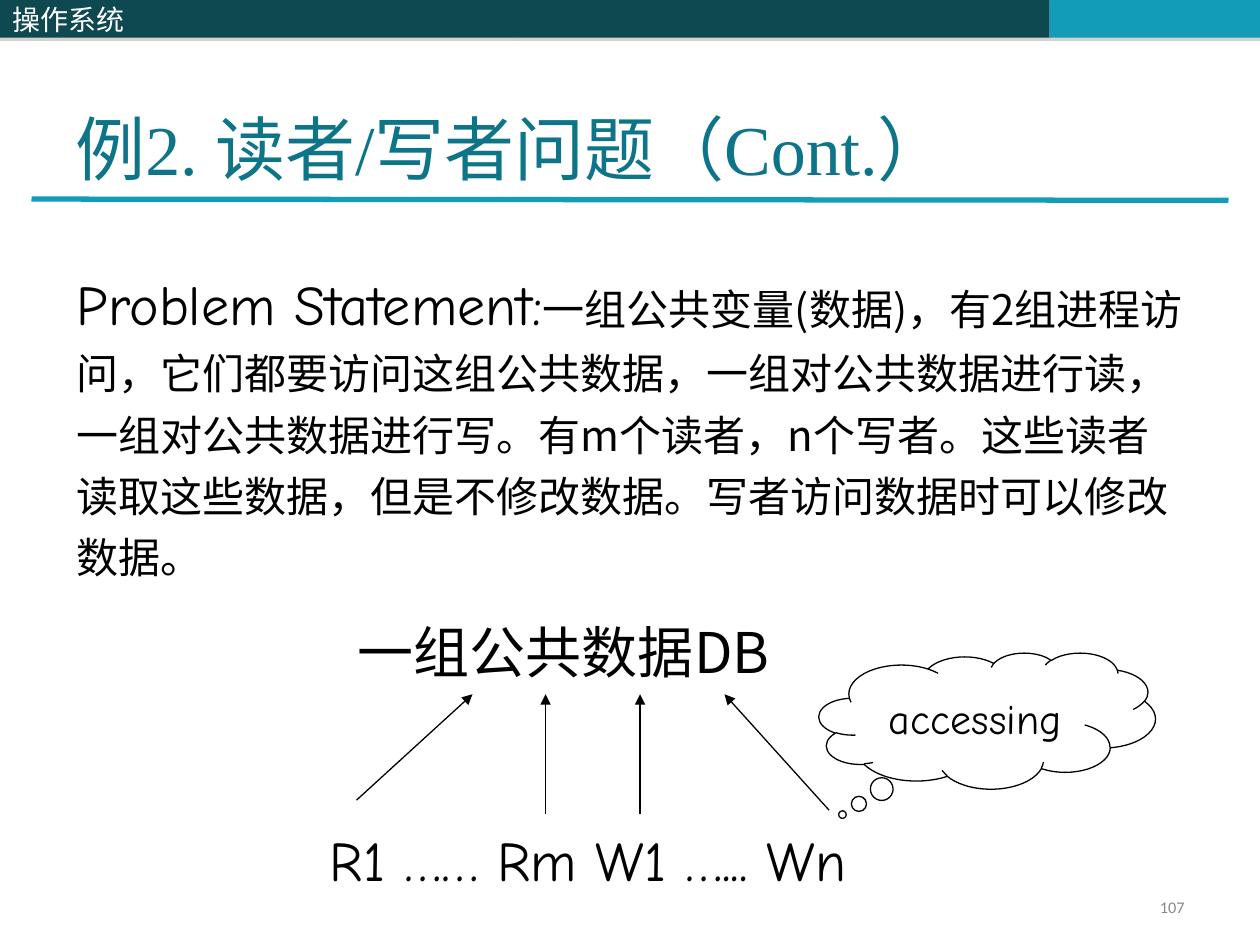
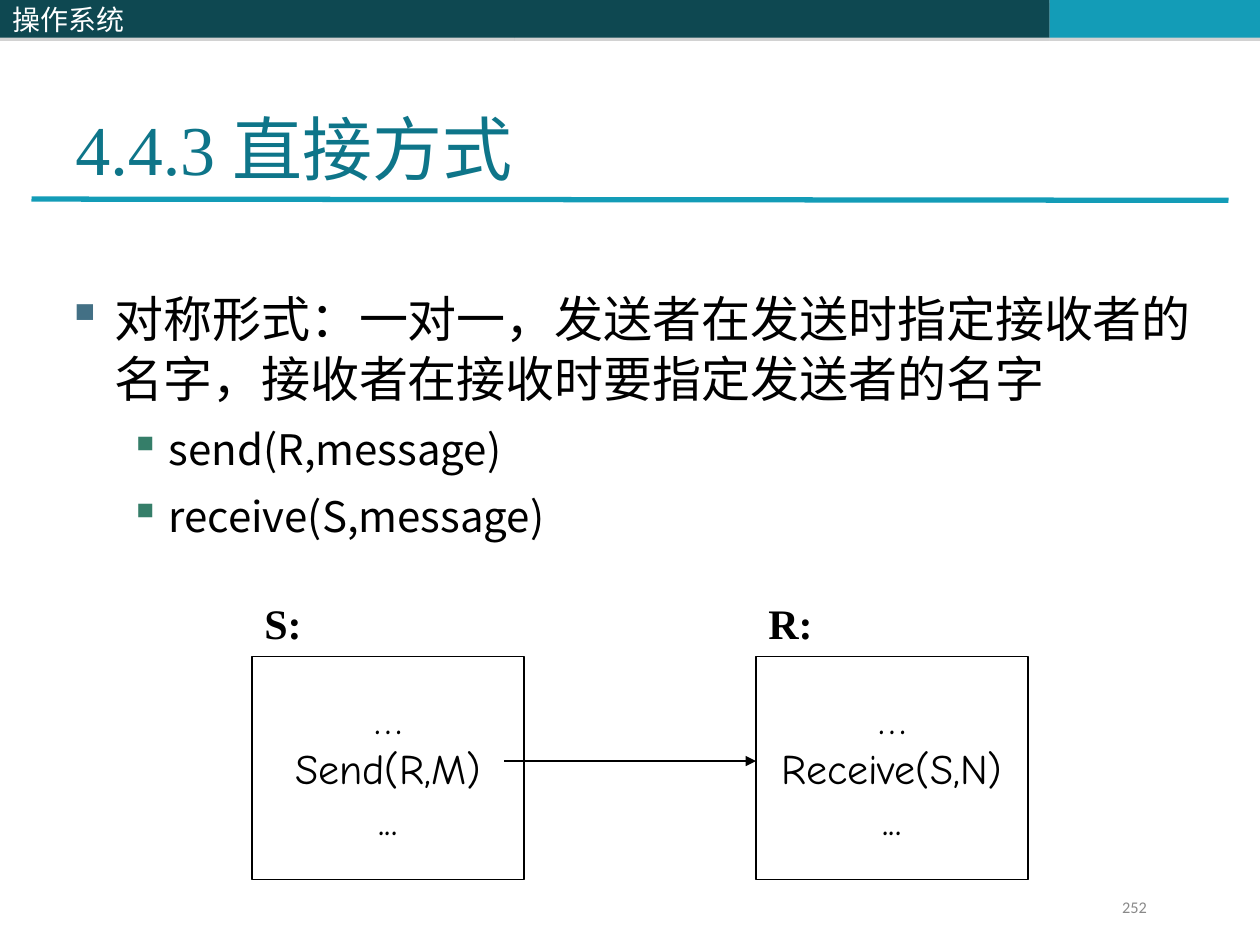
"""Builds two operating-systems slides: readers/writers and direct messaging."""
from lxml import etree
from pptx import Presentation
from pptx.dml.color import RGBColor
from pptx.enum.shapes import MSO_CONNECTOR as Connector, MSO_SHAPE as Shape
from pptx.enum.text import MSO_ANCHOR as Anchor, PP_ALIGN as Align
from pptx.oxml.ns import qn
from pptx.util import Inches, Pt

DARK = RGBColor(0x0E, 0x48, 0x51)
CYAN = RGBColor(0x13, 0x9C, 0xB7)
TEAL = RGBColor(0x0E, 0x75, 0x89)
GREY = RGBColor(0x89, 0x89, 0x89)
BLACK = RGBColor(0, 0, 0)
WHITE = RGBColor(255, 255, 255)
HAN, HAND, SERIF, SANS = "Noto Sans CJK SC", "Comic Neue", "Times New Roman", "Calibri"

WIDTH, HEIGHT = 10, 7.5
COURSE = "操作系统"
BANDS = [(0, 4.08, DARK, COURSE), (4.08, 4.25, DARK, ""), (8.33, 1.67, CYAN, "")]

READERS = {
    "title": "例2. 读者/写者问题（Cont.）",
    "number": ("107", 9.5),
    "lead": "Problem Statement:",
    "statement": "一组公共变量(数据)，有2组进程访问，它们都要访问这组公共数据，一组对公共数据进行读，"
                 "一组对公共数据进行写。有m个读者，n个写者。这些读者读取这些数据，但是不修改数据。"
                 "写者访问数据时可以修改数据。",
    "database": "一组公共数据DB",
    "processes": "R1 …… Rm W1 …... Wn",
    "thought": "accessing",
}
ACCESS_TOP = 5.51
ACCESSES = [((2.83, 6.35), 3.75), ((4.33, 6.46), 4.33), ((5.08, 6.46), 5.08), ((6.58, 6.43), 5.75)]

DIRECT = {
    "title": "4.4.3 直接方式",
    "number": ("252", 9.2),
    "bullets": [
        (0, "对称形式：一对一，发送者在发送时指定接收者的名字，接收者在接收时要指定发送者的名字"),
        (1, "send(R,message)"),
        (1, "receive(S,message)"),
    ],
    "processes": [("S:", ["…", "Send(R,M)", "..."]), ("R:", ["…", "Receive(S,N)", "..."])],
}
BULLET_STYLES = [
    dict(size=28, spacing=34.3, before=0, left=0.38, hang=0.38, color="437085"),
    dict(size=24, spacing=32.3, before=6, left=0.81, hang=0.31, color="357E69"),
]
PROCESS_LEFT, PROCESS_TOP, PROCESS_STEP = 2, 5.21, 4
PROCESS_SIZE = (2.16, 1.77)
MESSAGE_Y = 6.04


def write(paragraph, text, font=HAN, size=24, color=BLACK, bold=False, align=None, spacing=None):
    """Add one formatted run to a paragraph."""
    if align is not None:
        paragraph.alignment = align
    if spacing is not None:
        paragraph.line_spacing = spacing
    run = paragraph.add_run()
    run.text = text
    run.font.name, run.font.size, run.font.bold = font, Pt(size), bold
    run.font.color.rgb = color
    east_asian = etree.SubElement(run._r.get_or_add_rPr(), qn("a:ea"))
    east_asian.set("typeface", HAND if font == HAND else HAN)


def write_lines(shape, lines, anchor=Anchor.MIDDLE, wrap=True, **style):
    """Fill a shape with one paragraph per line."""
    frame = shape.text_frame
    frame.word_wrap, frame.vertical_anchor = wrap, anchor
    for index, line in enumerate(lines):
        write(frame.add_paragraph() if index else frame.paragraphs[0], line, **style)


def add_text(slide, left, top, width, height, lines=(), **style):
    """Add a text box."""
    box = slide.shapes.add_textbox(Inches(left), Inches(top), Inches(width), Inches(height))
    write_lines(box, lines, **style)
    return box


def add_box(slide, kind, left, top, width, height, fill=None, line=None):
    """Add a preset shape without a shadow."""
    shape = slide.shapes.add_shape(kind, Inches(left), Inches(top), Inches(width), Inches(height))
    shape.shadow.inherit = False
    if fill is None:
        shape.fill.background()
    else:
        shape.fill.solid()
        shape.fill.fore_color.rgb = fill
    if line is None:
        shape.line.fill.background()
    else:
        shape.line.color.rgb, shape.line.width = line, Pt(0.75)
    return shape


def add_line(slide, start, end, color=BLACK, width=0.75, arrow=True):
    """Add a straight line, with an arrowhead at its end if wanted."""
    x1, y1, x2, y2 = map(Inches, (*start, *end))
    connector = slide.shapes.add_connector(Connector.STRAIGHT, x1, y1, x2, y2)
    connector.line.color.rgb, connector.line.width = color, Pt(width)
    if arrow:
        etree.SubElement(connector.line._get_or_add_ln(), qn("a:tailEnd")).set("type", "triangle")
    etree.SubElement(connector._element.spPr, qn("a:effectLst"))


def add_band_shadow(shape):
    """Give a band a soft shadow below it."""
    effects = shape._element.spPr.find(qn("a:effectLst"))
    shadow = etree.SubElement(effects, qn("a:outerShdw"), dist=str(Pt(1.8)), dir="5400000", rotWithShape="0")
    color = etree.SubElement(shadow, qn("a:srgbClr"), val="808080")
    etree.SubElement(color, qn("a:alpha"), val="35000")


def add_bullet(paragraph, left, hang, color):
    """Set a square bullet and its hanging indent."""
    properties = paragraph._p.get_or_add_pPr()
    properties.set("marL", str(Inches(left)))
    properties.set("indent", str(-Inches(hang)))
    bullet_color = etree.SubElement(properties, qn("a:buClr"))
    etree.SubElement(bullet_color, qn("a:srgbClr"), val=color)
    etree.SubElement(properties, qn("a:buChar"), char="▪")


def start_slide(presentation, content):
    """Add a slide with the bands, title, rule and number that all slides share."""
    slide = presentation.slides.add_slide(presentation.slide_layouts[6])
    for left, width, color, label in BANDS:
        band = add_box(slide, Shape.RECTANGLE, left, 0, width, 0.3, fill=color)
        add_band_shadow(band)
        if label:
            band.text_frame.margin_top = band.text_frame.margin_bottom = 0
            write_lines(band, [label], size=16, color=WHITE, align=Align.LEFT)
    add_line(slide, (0.25, 1.58), (WIDTH - 0.25, 1.59), CYAN, 3, arrow=False)
    add_text(slide, 0.5, 0.3, WIDTH - 1, 1.25, [content["title"]], anchor=Anchor.BOTTOM,
             font=SERIF, size=40, color=TEAL)
    number, right = content["number"]
    add_text(slide, right - 2.33, 7.08, 2.33, 0.27, [number], font=SANS, size=9.3, color=GREY,
             align=Align.RIGHT, spacing=0.8)
    return slide


def build_readers(presentation):
    """Build the readers/writers slide."""
    slide = start_slide(presentation, READERS)
    problem = add_text(slide, 0.51, 2.14, 8.98, 2.47, anchor=Anchor.TOP)
    paragraph = problem.text_frame.paragraphs[0]
    write(paragraph, READERS["lead"], font=HAND, size=32, spacing=Pt(35))
    write(paragraph, READERS["statement"])
    add_text(slide, 2.74, 4.8, 4, 0.74, [READERS["database"]], size=32)
    add_text(slide, 2.52, 6.45, 5, 0.74, [READERS["processes"]], font=HAND, size=32)
    for start, end_x in ACCESSES:
        add_line(slide, start, (end_x, ACCESS_TOP))
    cloud = add_box(slide, Shape.CLOUD_CALLOUT, 6.5, 5.18, 2.67, 1.08, line=BLACK)
    cloud.adjustments[0], cloud.adjustments[1] = -0.43, 0.69
    write_lines(cloud, [READERS["thought"]], wrap=False, font=HAND, align=Align.CENTER)


def build_direct(presentation):
    """Build the direct messaging slide."""
    slide = start_slide(presentation, DIRECT)
    frame = add_text(slide, 0.43, 2.23, 9.36, 2.16, anchor=Anchor.TOP).text_frame
    for index, (level, text) in enumerate(DIRECT["bullets"]):
        style = BULLET_STYLES[level]
        paragraph = frame.add_paragraph() if index else frame.paragraphs[0]
        paragraph.level = level
        if index:
            paragraph.space_before = Pt(style["before"])
        add_bullet(paragraph, style["left"], style["hang"], style["color"])
        write(paragraph, text, size=style["size"], spacing=Pt(style["spacing"]))
    for column, (name, steps) in enumerate(DIRECT["processes"]):
        left = PROCESS_LEFT + column * PROCESS_STEP
        process = add_box(slide, Shape.RECTANGLE, left, PROCESS_TOP, *PROCESS_SIZE, fill=WHITE, line=BLACK)
        write_lines(process, steps, wrap=False, font=HAND, align=Align.CENTER)
        add_text(slide, left, 4.69, 0.75, 0.5, [name], anchor=Anchor.TOP, font=SERIF, bold=True)
    add_line(slide, (PROCESS_LEFT + 2, MESSAGE_Y), (PROCESS_LEFT + PROCESS_STEP, MESSAGE_Y))


def main():
    """Build and save the presentation."""
    presentation = Presentation()
    presentation.slide_width, presentation.slide_height = Inches(WIDTH), Inches(HEIGHT)
    build_readers(presentation)
    build_direct(presentation)
    presentation.save("out.pptx")


if __name__ == "__main__":
    main()
